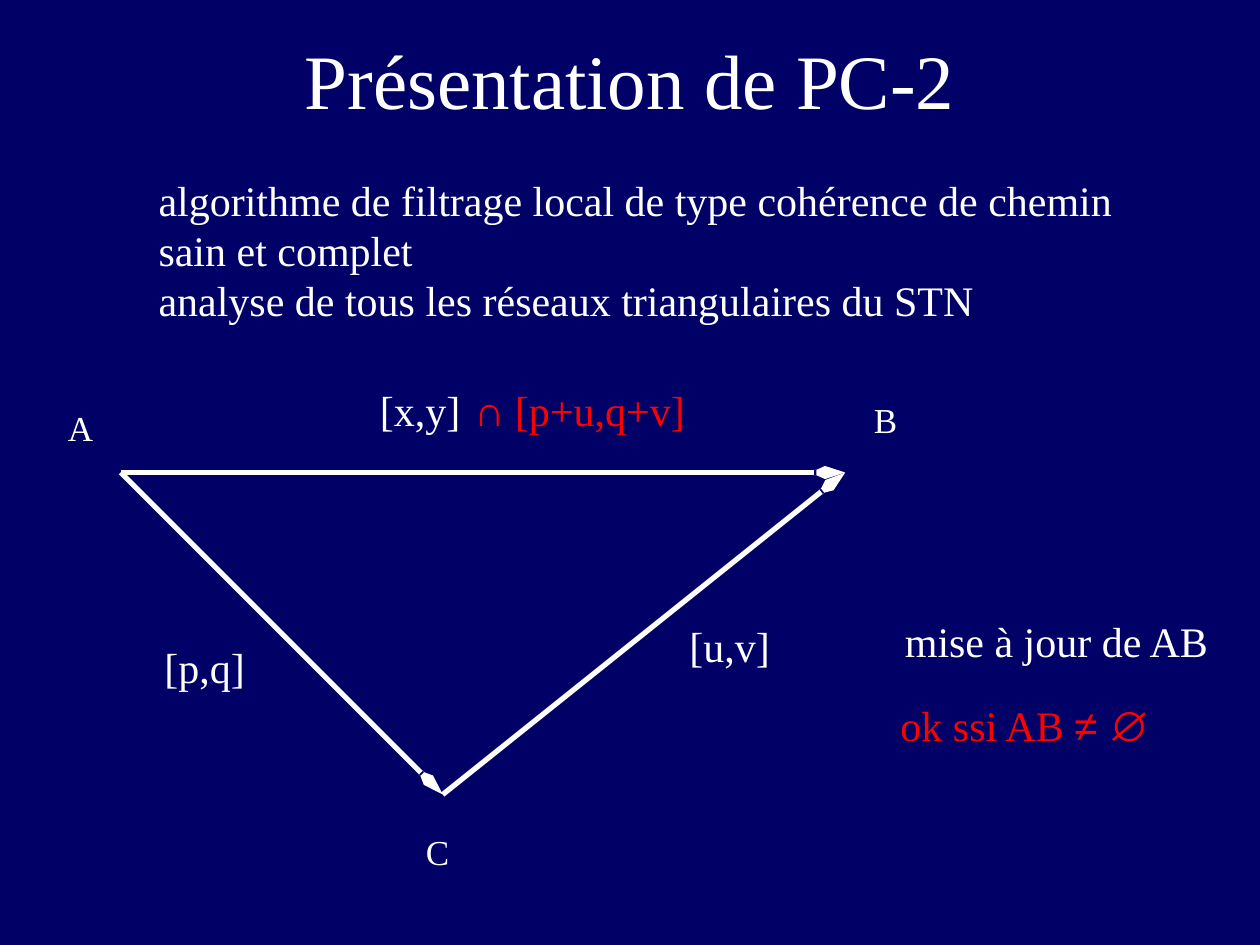
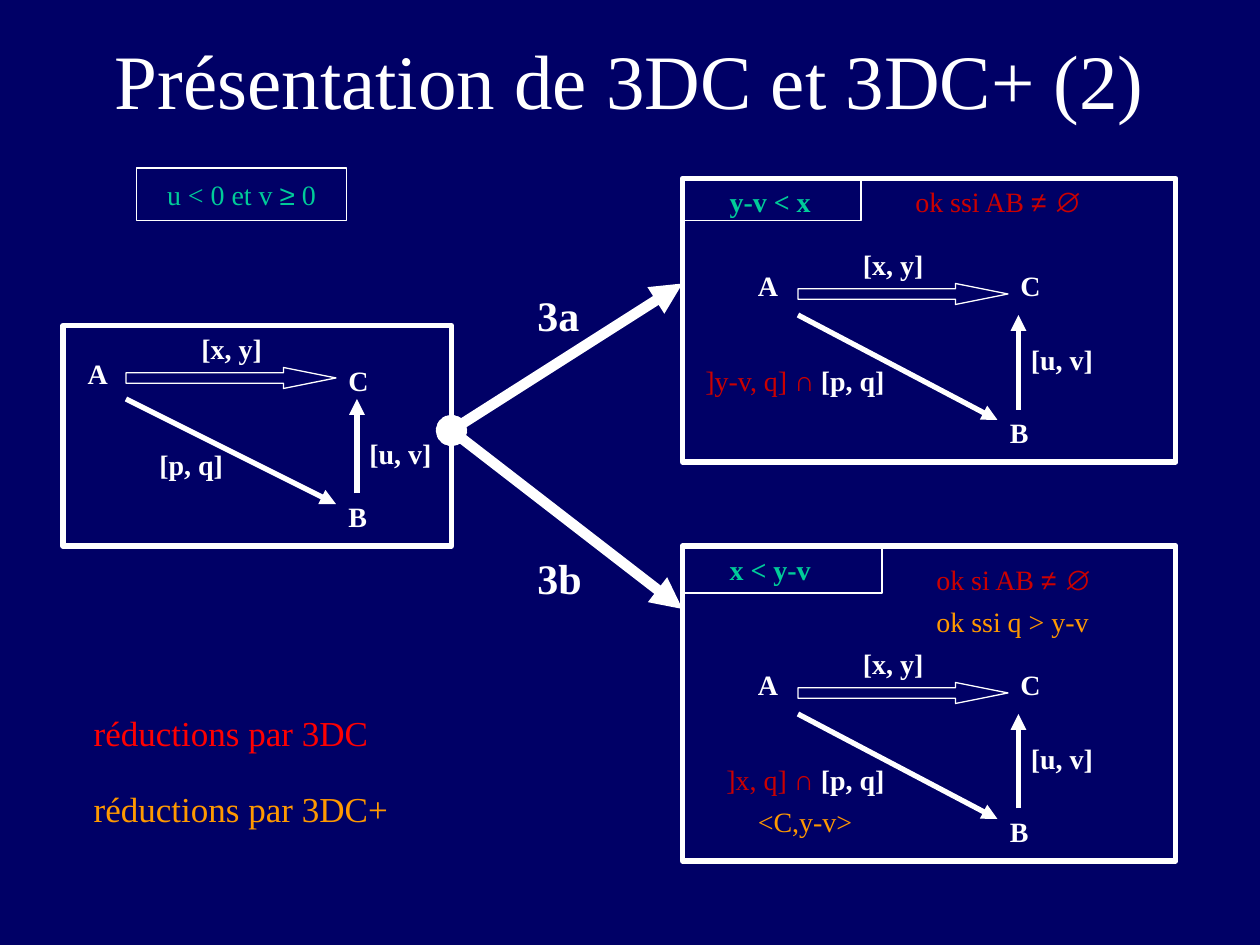
"""Build two slides on temporal constraint filtering: PC-2, then 3DC and 3DC+."""
from lxml import etree
from pptx import Presentation
from pptx.dml.color import RGBColor
from pptx.enum.shapes import MSO_CONNECTOR, MSO_SHAPE
from pptx.enum.text import MSO_ANCHOR, PP_ALIGN
from pptx.oxml.ns import qn
from pptx.util import Pt

LEFT, CENTER = PP_ALIGN.LEFT, PP_ALIGN.CENTER
TOP, MIDDLE = MSO_ANCHOR.TOP, MSO_ANCHOR.MIDDLE
STRAIGHT = MSO_CONNECTOR.STRAIGHT
RECTANGLE, RIGHT_ARROW = MSO_SHAPE.RECTANGLE, MSO_SHAPE.RIGHT_ARROW

NAVY, WHITE, GREEN = "000066", "FFFFFF", "00CC99"
RED, DARK_RED, ORANGE = "FF0000", "CC0000", "FF9900"
SERIF, SANS = "Times New Roman", "Arial"
SOLID_TIP = {"type": "triangle"}
SLIM_TIP = {"type": "arrow", "w": "sm", "len": "lg"}

TITLES = ["Présentation de PC-2", "Présentation de 3DC et 3DC+ (2)"]

NODE_A, NODE_B, NODE_C = (69, 270), (483, 270), (253, 454)
NETWORK_ARCS = [(NODE_A, NODE_B), (NODE_A, NODE_C), (NODE_C, NODE_B)]
NODE_NAMES = [("A", 0, 229), ("B", 460, 224), ("C", 204, 471)]
ARC_LABELS = [("[u,v]", (348, 351, 138, 69)), ("[p,q]", (48, 363, 138, 45))]
FEATURES = [
    "algorithme de filtrage local de type cohérence de chemin",
    "sain et complet",
    "analyse de tous les réseaux triangulaires du STN",
]

WIDE_TRIANGLE = {"reach": 120, "A": (-29, -10), "C": -6, "uv": 36}
TIGHT_TRIANGLE = {"reach": 114, "A": (-30, -12), "C": -12, "uv": 30}
START_PANEL = (36, 186, 222, 126)
FORK = (258, 246)
CASES = [
    {"name": "3a", "name_at": (300, 162, 46, 36), "arrow_end": (390, 162),
     "panel": (390, 102, 282, 162), "triangle_at": (456, 162),
     "test": "y-v < x", "tag_size": (102, 24),
     "reduced": "]y-v, q] ", "reduced_at": (396, 204, 84, 24),
     "check": "ok ssi AB ", "check_at": (516, 102, 162, 27)},
    {"name": "3b", "name_at": (300, 312, 46, 36), "arrow_end": (390, 348),
     "panel": (390, 312, 282, 180), "triangle_at": (456, 390),
     "test": "x < y-v", "tag_size": (114, 27),
     "reduced": "]x, q] ", "reduced_at": (408, 432, 84, 24),
     "check": "ok si AB ", "check_at": (528, 318, 150, 27)},
]
PLUS_NOTES = [("<C,y-v>", (426, 456, 78, 27)),
              ("ok ssi q > y-v", (528, 342, 112, 27))]


def color(code):
    """Turn a hex string into a colour."""
    return RGBColor.from_string(code)


def write(shape, paragraphs, size, bold=False, align=LEFT, anchor=TOP,
          indent=7.2, gap=0):
    """Fill a shape with paragraphs, each a list of (text, colour, font) runs."""
    frame = shape.text_frame
    frame.word_wrap = True
    frame.vertical_anchor = anchor
    frame.margin_left, frame.margin_right = Pt(indent), Pt(7.2)
    frame.margin_top = frame.margin_bottom = Pt(3.6)
    for index, runs in enumerate(paragraphs):
        para = frame.add_paragraph() if index else frame.paragraphs[0]
        para.alignment = align
        if index:
            para.space_before = Pt(gap)
        for text, code, font in runs:
            span = para.add_run()
            span.text = text
            span.font.name, span.font.size = font, Pt(size)
            span.font.bold = bold
            span.font.color.rgb = color(code)


def add_text(page, area, paragraphs, size, **style):
    """Add a text box."""
    box = page.shapes.add_textbox(*map(Pt, area))
    write(box, paragraphs, size, **style)


def add_label(page, text, area, size, code=WHITE, **style):
    """Add a text box holding one run."""
    add_text(page, area, [[(text, code, SERIF)]], size, **style)


def add_outline(page, kind, area, width):
    """Add an unfilled shape with a white outline."""
    shape = page.shapes.add_shape(kind, *map(Pt, area))
    shape.shadow.inherit = False
    shape.fill.background()
    shape.line.color.rgb = color(WHITE)
    shape.line.width = Pt(width)
    return shape


def add_arrow(page, start, end, width=3, tip=SOLID_TIP, origin=None):
    """Add a straight white arrow, with an optional mark at its origin."""
    arrow = page.shapes.add_connector(STRAIGHT, *map(Pt, start + end))
    arrow.line.color.rgb = color(WHITE)
    arrow.line.width = Pt(width)
    properties = arrow.line._get_or_add_ln()
    if origin:
        etree.SubElement(properties, qn("a:headEnd"), type=origin)
    etree.SubElement(properties, qn("a:tailEnd"), tip)
    etree.SubElement(arrow._element.spPr, qn("a:effectLst"))


def add_page(deck, title):
    """Add a blank slide with its title."""
    page = deck.slides.add_slide(deck.slide_layouts[6])
    add_label(page, title, (54, 0, 612, 90), 44, align=CENTER, anchor=MIDDLE)
    return page


def add_triangle(page, left, top, layout):
    """Draw the three-node network whose block arrow starts at left, top."""
    reach = layout["reach"]
    add_arrow(page, (left + reach + 12, top + 72), (left + reach + 12, top + 18))
    add_arrow(page, (left, top + 18), (left + reach, top + 78))
    block = add_outline(page, RIGHT_ARROW, (left, top, 120, 12), 0.75)
    block.adjustments[1] = 2.5
    labels = [
        ("A", *layout["A"], 36),
        ("B", reach, 72, 36),
        ("C", 120, layout["C"], 36),
        ("[u, v]", reach + 12, layout["uv"], 72),
        ("[x, y]", reach - 84, -24, 65),
        ("[p, q]", reach - 108, 42, 65),
    ]
    for text, across, down, width in labels:
        add_label(page, text, (left + across, top + down, width, 36), 16, bold=True)


def build_pc2(page):
    """Fill the PC-2 slide."""
    for start, end in NETWORK_ARCS:
        add_arrow(page, start, end, tip=SLIM_TIP)
    for text, left, top in NODE_NAMES:
        add_label(page, text, (left, top, 92, 69), 20, align=CENTER)
    for text, area in ARC_LABELS:
        add_label(page, text, area, 24, align=CENTER)
    add_label(page, "[x,y]", (210, 216, 72, 42), 24)
    add_text(page, (264, 216, 144, 42),
             [[("∩", RED, SANS), (" [p+u,q+v]", RED, SERIF)]], 24)
    add_text(page, (83.5, 96, 580, 94),
             [[(text, WHITE, SERIF)] for text in FEATURES], 24)
    add_label(page, "mise à jour de AB", (510, 348, 200, 36), 24)
    add_text(page, (507.5, 396, 175, 36),
             [[("ok ssi AB ", RED, SERIF), ("≠ ∅", RED, SANS)]], 24)


def build_3dc(page):
    """Fill the 3DC and 3DC+ slide."""
    add_outline(page, RECTANGLE, START_PANEL, 3)
    add_triangle(page, 72, 210, WIDE_TRIANGLE)
    condition = add_outline(page, RECTANGLE, (78, 96, 120, 30), 1)
    write(condition, [[("u < 0 et v ", GREEN, SERIF), ("≥", GREEN, SANS),
                       (" 0", GREEN, SERIF)]],
          16, align=CENTER, anchor=MIDDLE)
    for case in CASES:
        panel = case["panel"]
        add_arrow(page, FORK, case["arrow_end"], 6, origin="oval")
        add_label(page, case["name"], case["name_at"], 24, bold=True)
        add_outline(page, RECTANGLE, panel, 3)
        add_triangle(page, *case["triangle_at"], TIGHT_TRIANGLE)
        tag = add_outline(page, RECTANGLE, panel[:2] + case["tag_size"], 1)
        write(tag, [[(case["test"], GREEN, SERIF)]], 16, bold=True, indent=27)
        for text, symbols, area in [(case["reduced"], "∩", case["reduced_at"]),
                                    (case["check"], "≠ ∅", case["check_at"])]:
            add_text(page, area,
                     [[(text, DARK_RED, SERIF), (symbols, DARK_RED, SANS)]], 16)
    add_text(page, (46.5, 403, 200, 75),
             [[("réductions par 3DC", RED, SERIF)],
              [("réductions par 3DC+", ORANGE, SERIF)]], 20, gap=19.5)
    for text, area in PLUS_NOTES:
        add_label(page, text, area, 16, ORANGE)


def main():
    """Build and save the deck."""
    deck = Presentation()
    deck.slide_width, deck.slide_height = Pt(720), Pt(540)
    backdrop = deck.slide_master.background.fill
    backdrop.solid()
    backdrop.fore_color.rgb = color(NAVY)
    for title, build in zip(TITLES, [build_pc2, build_3dc]):
        build(add_page(deck, title))
    deck.save("out.pptx")


if __name__ == "__main__":
    main()
